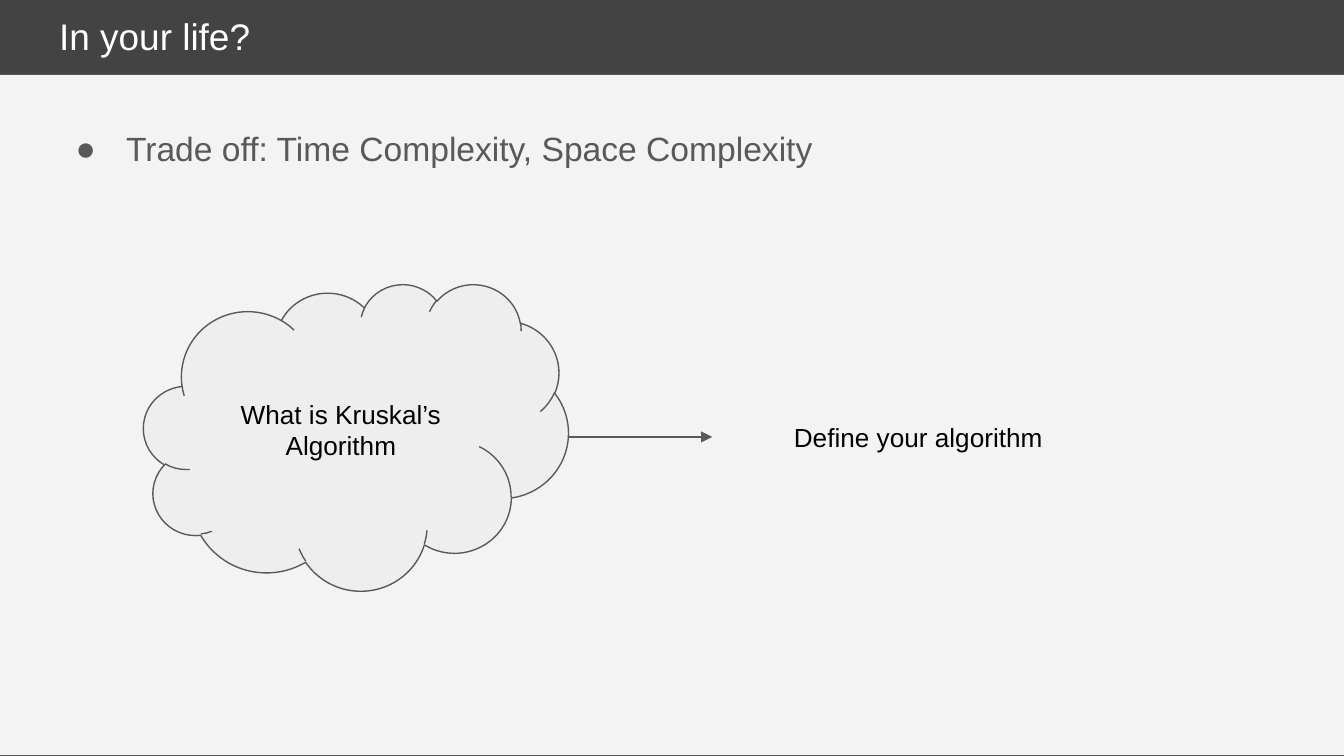
from pptx import Presentation
from pptx.dml.color import RGBColor
from pptx.enum.shapes import MSO_CONNECTOR, MSO_SHAPE
from pptx.enum.text import MSO_ANCHOR, MSO_AUTO_SIZE, PP_ALIGN
from pptx.oxml.ns import qn
from pptx.util import Pt
from lxml.etree import SubElement

COLORS = {
    "panel": "F3F3F3",
    "header": "434343",
    "cloud": "EEEEEE",
    "gray": "595959",
    "white": "FFFFFF",
    "black": "000000",
}


def add_outlined(kind, left, top, width, height, fill):
    shape = slide.shapes.add_shape(kind, Pt(left), Pt(top), Pt(width), Pt(height))
    shape.shadow.inherit = False
    shape.fill.solid()
    shape.fill.fore_color.rgb = RGBColor.from_string(COLORS[fill])
    shape.line.color.rgb = RGBColor.from_string(COLORS["gray"])
    shape.line.width = Pt(0.75)
    return shape


def write(shape, text, size, color, align=PP_ALIGN.LEFT, anchor=MSO_ANCHOR.TOP):
    """Fill the shape with one paragraph and return that paragraph."""
    frame = shape.text_frame
    frame.word_wrap = True
    frame.auto_size = MSO_AUTO_SIZE.NONE
    frame.vertical_anchor = anchor
    frame.margin_left = frame.margin_right = Pt(7.2)
    frame.margin_top = frame.margin_bottom = Pt(7.2)
    frame.text = text
    paragraph = frame.paragraphs[0]
    paragraph.alignment = align
    paragraph.font.name = "Arial"
    paragraph.font.size = Pt(size)
    paragraph.font.color.rgb = RGBColor.from_string(COLORS[color])
    return paragraph


prs = Presentation()
prs.slide_width, prs.slide_height = Pt(720), Pt(405)
slide = prs.slides.add_slide(prs.slide_layouts[5])

# Background panel and header bar
add_outlined(MSO_SHAPE.RECTANGLE, -1, 34.5, 722, 370.2, "panel")
add_outlined(MSO_SHAPE.RECTANGLE, -1, -5.1, 722, 45, "header")

# Title, brought in front of the header bar
title = slide.shapes.title
title.left, title.top, title.width, title.height = Pt(24.5), Pt(0), Pt(671), Pt(31)
write(title, "In your life?", 19.8, "white")
slide.shapes._spTree.append(title._element)

# Bulleted statement
statement = slide.shapes.add_textbox(Pt(24.5), Pt(58.3), Pt(671), Pt(301.7))
bullet = write(statement, "Trade off: Time Complexity, Space Complexity", 18, "gray")
bullet.line_spacing = 1.15
bullet_props = bullet._p.get_or_add_pPr()
bullet_props.set("marL", str(Pt(36)))
bullet_props.set("indent", str(Pt(-27)))
bullet_color = SubElement(bullet_props, qn("a:buClr"))
SubElement(bullet_color, qn("a:srgbClr"), val=COLORS["gray"])
SubElement(bullet_props, qn("a:buFont"), typeface="Arial")
SubElement(bullet_props, qn("a:buChar"), char="●")

# Question cloud pointing to the first step
question = add_outlined(MSO_SHAPE.CLOUD, 77, 152, 227.5, 164.2, "cloud")
write(question, "What is Kruskal’s Algorithm", 14, "black",
      PP_ALIGN.CENTER, MSO_ANCHOR.MIDDLE)

arrow = slide.shapes.add_connector(
    MSO_CONNECTOR.STRAIGHT, Pt(304.5), Pt(234.1), Pt(381.6), Pt(234.1))
arrow.line.color.rgb = RGBColor.from_string(COLORS["gray"])
arrow.line.width = Pt(0.75)
SubElement(arrow.line._get_or_add_ln(), qn("a:tailEnd"), type="triangle")
SubElement(arrow._element.spPr, qn("a:effectLst"))

first_step = slide.shapes.add_textbox(Pt(418.2), Pt(218.3), Pt(171.4), Pt(31.5))
write(first_step, "Define your algorithm", 14, "black")

prs.save("out.pptx")
